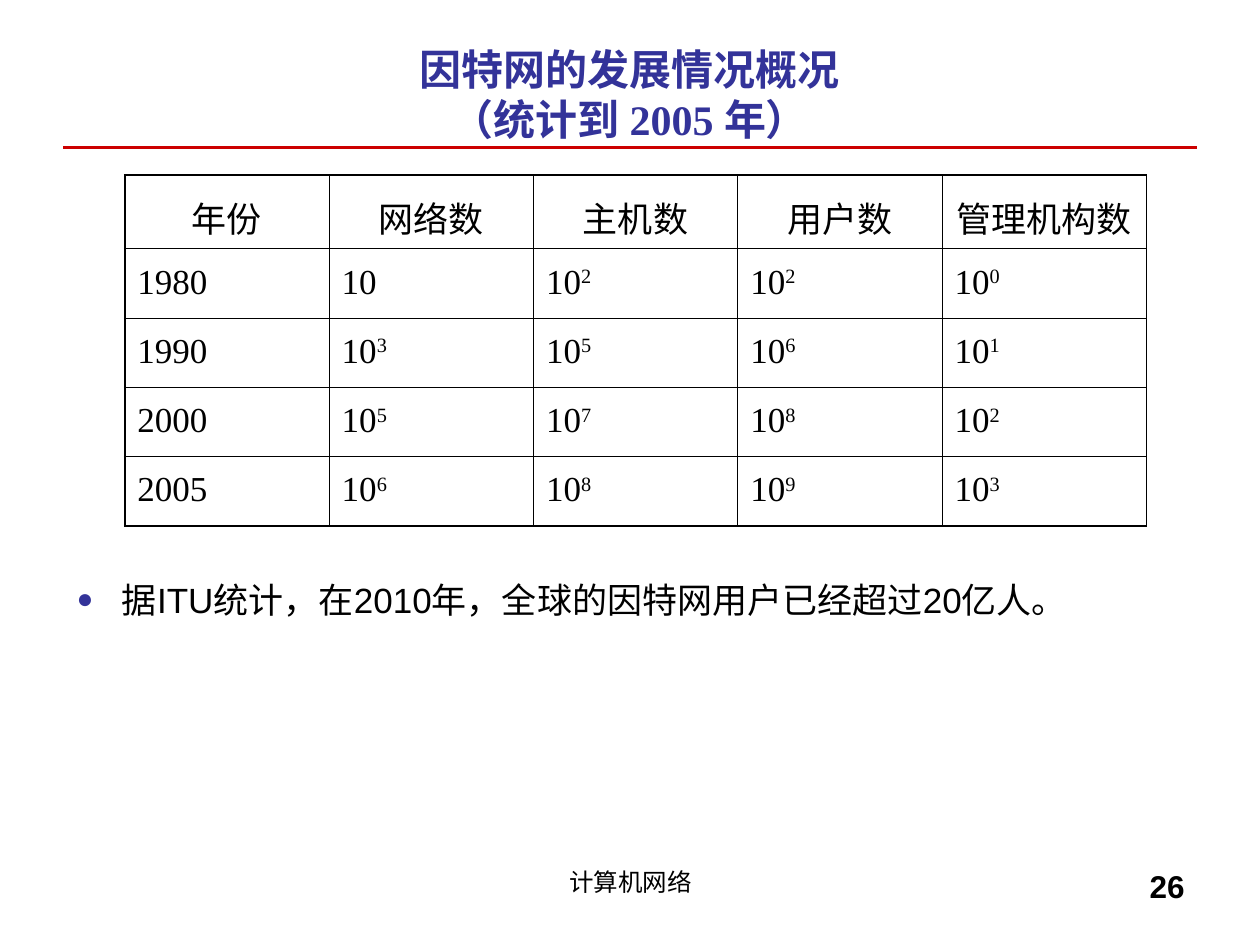
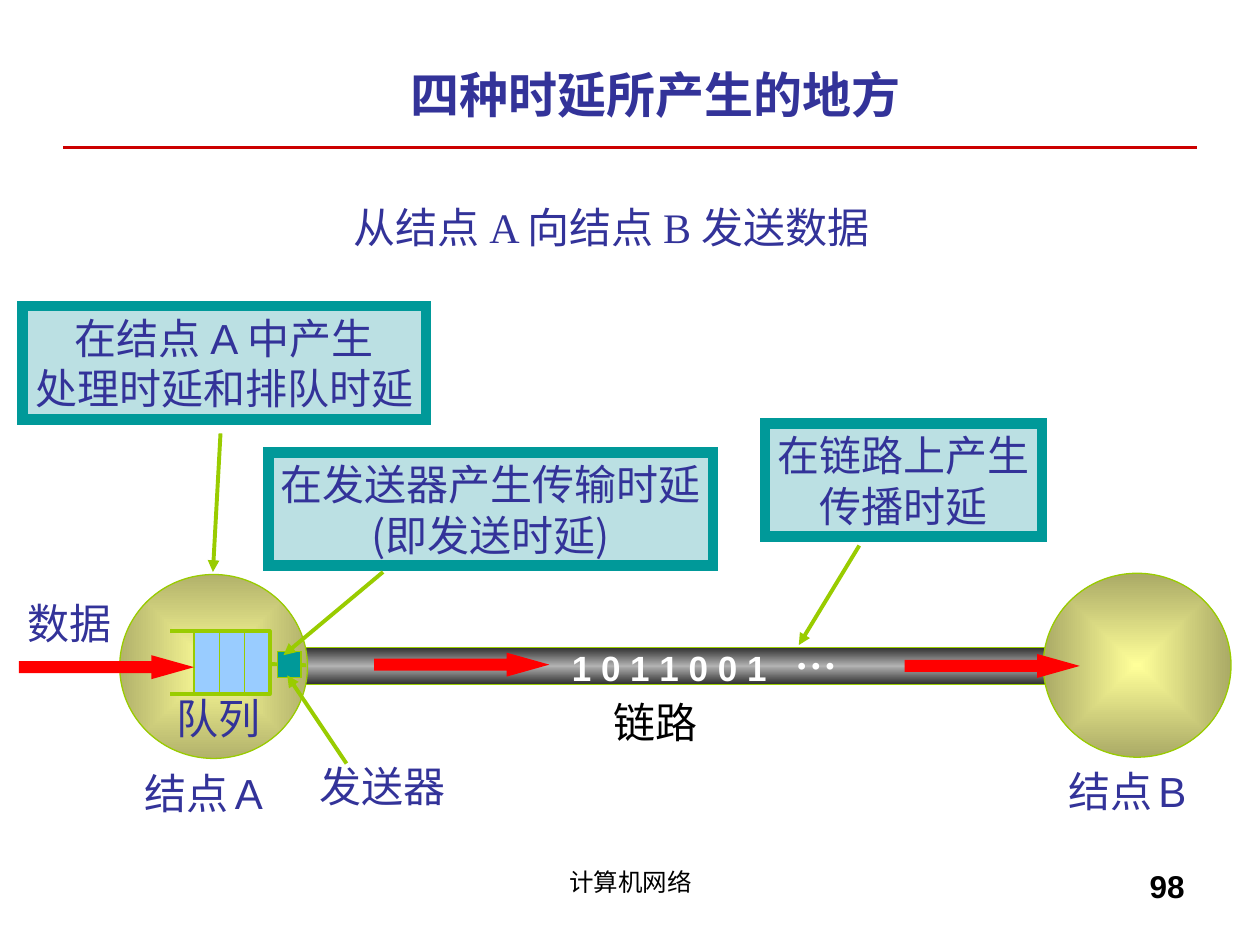
from pptx import Presentation
from pptx.dml.color import RGBColor
from pptx.enum.shapes import MSO_CONNECTOR, MSO_SHAPE
from pptx.enum.text import MSO_ANCHOR, MSO_AUTO_SIZE, PP_ALIGN
from pptx.oxml import parse_xml
from pptx.oxml.ns import nsdecls, qn
from pptx.util import Inches, Pt

# Shared look
BLACK, WHITE, NAVY = "000000", "FFFFFF", "333399"
RED_RULE, RED_ARROW = "CC0000", "FF0000"
LIME, TEAL, PALE_TEAL, SKY = "99CC00", "009999", "BBE0E3", "99CCFF"
ARIAL, TIMES, CJK = "Arial", "Times New Roman", "Noto Sans CJK SC"
LABEL = {"size": 24, "name": TIMES, "color": NAVY}
CALLOUT = {"size": 24, "name": CJK, "color": NAVY}
TITLE = {"name": TIMES, "color": NAVY, "bold": True}


def rgb(value):
    return RGBColor.from_string(value)


def a_element(tag, body="", attrs=""):
    return parse_xml(f"<a:{tag} {nsdecls('a')} {attrs}>{body}</a:{tag}>")


def solid(color):
    return f'<a:solidFill><a:srgbClr val="{color}"/></a:solidFill>'


# Text helpers
def style_run(r, fmt):
    for key, value in fmt.items():
        if key == "color":
            r.font.color.rgb = rgb(value)
        elif key == "raised":
            r.font._element.set("baseline", "30000")
        else:
            setattr(r.font, key, Pt(value) if key == "size" else value)
    r.font._element.find(qn("a:latin")).addnext(a_element("ea", attrs=f'typeface="{CJK}"'))


def fill_paragraph(p, runs, fmt, align=None):
    """Runs are a string or (text, overrides) pairs; a newline breaks the line."""
    p.alignment = align
    if isinstance(runs, str):
        runs = [(runs, {})]
    for text, changes in runs:
        for i, part in enumerate(text.split("\n")):
            if i:
                p.add_line_break()
            r = p.add_run()
            r.text = part
            style_run(r, {**fmt, **changes})


def fill_frame(tf, paragraphs, fmt, align=None, wrap=False):
    tf.word_wrap = wrap
    tf.auto_size = MSO_AUTO_SIZE.NONE if wrap else MSO_AUTO_SIZE.SHAPE_TO_FIT_TEXT
    for i, runs in enumerate(paragraphs):
        p = tf.add_paragraph() if i else tf.paragraphs[0]
        fill_paragraph(p, runs, fmt, align)


def add_text(s, box, runs, fmt, align=None, wrap=False):
    sp = s.shapes.add_textbox(*map(Inches, box))
    fill_frame(sp.text_frame, [runs], fmt, align, wrap)
    return sp.text_frame


def short_label(s, x, y, text, color=NAVY):
    add_text(s, (x, y, 0.92, 0.5), text, {**LABEL, "color": color})


# Shape helpers
def add_shape(s, kind, box, fill, line=None, width=0.75):
    sp = s.shapes.add_shape(kind, *map(Inches, box))
    sp.shadow.inherit = False
    sp.fill.solid()
    sp.fill.fore_color.rgb = rgb(fill)
    if line:
        sp.line.color.rgb = rgb(line)
        sp.line.width = Pt(width)
        sp.line._get_or_add_ln().append(a_element("miter", attrs='lim="800000"'))
    else:
        sp.line.fill.background()
    return sp


def set_gradient(sp, stops, direction):
    stop_xml = "".join(f'<a:gs pos="{pos * 1000}"><a:srgbClr val="{color}"/></a:gs>'
                       for pos, color in stops)
    old = sp._element.spPr.find(qn("a:solidFill"))
    old.addprevious(a_element("gradFill", f"<a:gsLst>{stop_xml}</a:gsLst>{direction}",
                              'rotWithShape="1"'))
    sp._element.spPr.remove(old)


def add_line(s, start, end, color=LIME, width=2.25, arrow=False):
    c = s.shapes.add_connector(MSO_CONNECTOR.STRAIGHT, *map(Inches, (*start, *end)))
    c.line.color.rgb = rgb(color)
    c.line.width = Pt(width)
    if arrow:
        c.line._get_or_add_ln().append(a_element("tailEnd", attrs='type="triangle"'))
    c._element.spPr.append(a_element("effectLst"))


# Frame common to both slides
def new_slide(prs, title, title_box, title_size, number):
    s = prs.slides.add_slide(prs.slide_layouts[6])
    s.background.fill.solid()
    s.background.fill.fore_color.rgb = rgb(WHITE)
    add_line(s, (0.5, 1.17), (9.5, 1.17), RED_RULE, 2)
    add_text(s, (3.42, 6.83, 3.17, 0.52), "计算机网络",
             {"size": 14, "name": ARIAL, "color": BLACK}, PP_ALIGN.CENTER, True)
    add_text(s, (7.17, 6.83, 2.33, 0.52), str(number),
             {"size": 18, "name": ARIAL, "color": BLACK, "bold": True}, PP_ALIGN.RIGHT, True)
    tf = add_text(s, title_box, title, {**TITLE, "size": title_size}, PP_ALIGN.CENTER, True)
    tf.vertical_anchor = MSO_ANCHOR.MIDDLE
    for side in ("left", "top", "right", "bottom"):
        setattr(tf, f"margin_{side}", 0)
    return s


# Slide 1: growth table
HEADERS = ["年份", "网络数", "主机数", "用户数", "管理机构数"]
# Year, then the power of ten in each column; None is a plain 10
GROWTH = [(1980, None, 2, 2, 0), (1990, 3, 5, 6, 1), (2000, 5, 7, 8, 2), (2005, 6, 8, 9, 3)]


def power_of_ten(n):
    return "10" if n is None else [("10", {}), (str(n), {"raised": True})]


def set_borders(cell, outer_sides):
    tc_pr = cell._tc.get_or_add_tcPr()
    for i, (tag, outer) in enumerate(zip(("lnL", "lnR", "lnT", "lnB"), outer_sides)):
        width = Pt(1.08 if outer else 0.45)
        tc_pr.insert(i, a_element(tag, solid(BLACK), f'w="{width}"'))


def growth_table(s, x, y, w, row_heights):
    rows = [HEADERS]
    for year, *powers in GROWTH:
        rows.append([str(year)] + [power_of_ten(n) for n in powers])
    n_rows, n_cols = len(rows), len(HEADERS)
    table = s.shapes.add_table(n_rows, n_cols, *map(Inches, (x, y, w, sum(row_heights)))).table
    for col in table.columns:
        col.width = Inches(w / n_cols)
    for i, row in enumerate(rows):
        table.rows[i].height = Inches(row_heights[i])
        for j, runs in enumerate(row):
            cell = table.cell(i, j)
            cell.fill.background()
            p = cell.text_frame.paragraphs[0]
            p.line_spacing = 1.2
            fill_paragraph(p, runs, {"size": 20, "name": TIMES, "color": BLACK},
                           None if i else PP_ALIGN.CENTER)
            set_borders(cell, (j == 0, j == n_cols - 1, i == 0, i == n_rows - 1))


def bullet_note(s, box, text):
    tf = add_text(s, box, text, {"size": 20, "name": ARIAL, "color": BLACK}, wrap=True)
    p_pr = tf.paragraphs[0]._p.get_or_add_pPr()
    p_pr.set("marL", str(Inches(0.36)))
    p_pr.set("indent", str(-Inches(0.36)))
    p_pr.append(a_element("buClr", f'<a:srgbClr val="{NAVY}"/>'))
    p_pr.append(a_element("buSzPct", attrs='val="80000"'))
    p_pr.append(a_element("buFont", attrs=f'typeface="{ARIAL}"'))
    p_pr.append(a_element("buChar", attrs='char="●"'))


def growth_slide(prs):
    s = new_slide(prs, "因特网的发展情况概况\n（统计到 2005 年）", (0.5, 0.33, 9, 0.83), 24, 26)
    growth_table(s, 0.99, 1.39, 8.11, [0.54] + [0.55] * 4)
    bullet_note(s, (0.51, 4.54, 8.51, 0.44),
                "据ITU统计，在2010年，全球的因特网用户已经超过20亿人。")


# Slide 2: where the four delays arise
def link(s, x, y, w, h):
    sp = add_shape(s, MSO_SHAPE.RECTANGLE, (x, y, w, h), WHITE, LIME)
    set_gradient(sp, [(0, "313131"), (50, "B2B2B2"), (100, "313131")],
                 '<a:lin ang="5400000" scaled="1"/>')


def node(s, x, y, name, edge):
    sp = add_shape(s, MSO_SHAPE.OVAL, (x, y, 1.49, 1.46), WHITE, LIME)
    set_gradient(sp, [(0, "FFFF99"), (100, edge)],
                 '<a:path path="rect"><a:fillToRect l="50000" t="50000" r="50000" b="50000"/></a:path>')
    add_text(s, (x + 0.1, y + 1.48, 1.27, 0.5),
             [("结点", {}), (" ", {"size": 16, "name": ARIAL}), (name, {"name": ARIAL})], LABEL)


def queue(s, x, y, w, h):
    slot, right, bottom = 0.2, x + w, y + h
    first = x + 0.19
    add_shape(s, MSO_SHAPE.RECTANGLE, (first, y, 3 * slot - 0.01, h), SKY, LIME)
    # Open-ended outline
    corners = [(right, y), (right, bottom), (x, bottom)]
    fb = s.shapes.build_freeform(Inches(x), Inches(y))
    fb.add_line_segments([(Inches(a), Inches(b)) for a, b in corners], close=False)
    sp = fb.convert_to_shape()
    sp.shadow.inherit = False
    sp.fill.background()
    sp.line.color.rgb = rgb(LIME)
    sp.line.width = Pt(2.25)
    for i in range(3):
        divider = first + i * slot
        add_line(s, (divider, y), (divider, bottom), width=0.75)
    short_label(s, x - 0.05, bottom - 0.06, "队列")


def transmitter(s, x, y):
    add_line(s, (x - 0.07, y + 0.1), (x + 0.23, y + 0.11))
    add_shape(s, MSO_SHAPE.RECTANGLE, (x, y, 0.19, 0.21), TEAL, LIME)
    add_text(s, (x + 0.24, y + 0.82, 1.22, 0.5), "发送器", LABEL)
    add_line(s, (x + 0.55, y + 0.89), (x + 0.08, y + 0.19), arrow=True)


def data_arrow(s, x, y):
    sp = add_shape(s, MSO_SHAPE.RIGHT_ARROW, (x, y, 1.39, 0.19), RED_ARROW)
    sp.adjustments[1] = 1.78


def callout(s, x, y, w, lines, start, end):
    sp = add_shape(s, MSO_SHAPE.RECTANGLE, (x, y, w, 0.9), PALE_TEAL, TEAL, 6)
    fill_frame(sp.text_frame, lines, CALLOUT, PP_ALIGN.CENTER)
    add_line(s, start, end, arrow=True)


def delay_slide(prs):
    s = new_slide(prs, "四种时延所产生的地方 ", (1.27, 0.33, 7.95, 0.83), 28, 98)
    add_text(s, (2.71, 1.55, 4.81, 0.5), "从结点 A 向结点 B 发送数据", LABEL)
    # Path from node A to node B
    link(s, 2.34, 5.14, 6.04, 0.29)
    node(s, 0.95, 4.56, "A", "B2B26B")
    node(s, 8.28, 4.55, "B", "AAAA66")
    queue(s, 1.35, 5.01, 0.79, 0.5)
    transmitter(s, 2.2, 5.17)
    for x, y in ((2.97, 5.18), (0.15, 5.2), (7.18, 5.19)):
        data_arrow(s, x, y)
    # Bits on the link and plain labels
    bits = {"color": WHITE, "bold": True}
    add_text(s, (4.44, 5.08, 1.75, 0.44), "1 0 1 1 0 0 1", {**bits, "size": 20, "name": ARIAL})
    add_text(s, (6.21, 4.93, 0.53, 0.5), "…", {**bits, "size": 24, "name": TIMES})
    short_label(s, 0.12, 4.69, "数据")
    short_label(s, 4.77, 5.48, "链路", BLACK)
    # Delay callouts
    callout(s, 6.07, 3.36, 2.2, ["在链路上产生", "传播时延"], (6.82, 4.33), (6.34, 5.12))
    callout(s, 2.13, 3.59, 3.53, ["在发送器产生传输时延", "(即发送时延)"],
            (3.04, 4.54), (2.25, 5.2))
    callout(s, 0.18, 2.43, 3.2,
            [[("在结点 ", {}), ("A ", {"name": ARIAL}), ("中产生", {})], "处理时延和排队时延"],
            (1.75, 3.44), (1.69, 4.54))


def main():
    prs = Presentation()
    prs.slide_width, prs.slide_height = Inches(10), Inches(7.5)
    growth_slide(prs)
    delay_slide(prs)
    prs.save("out.pptx")


if __name__ == "__main__":
    main()
